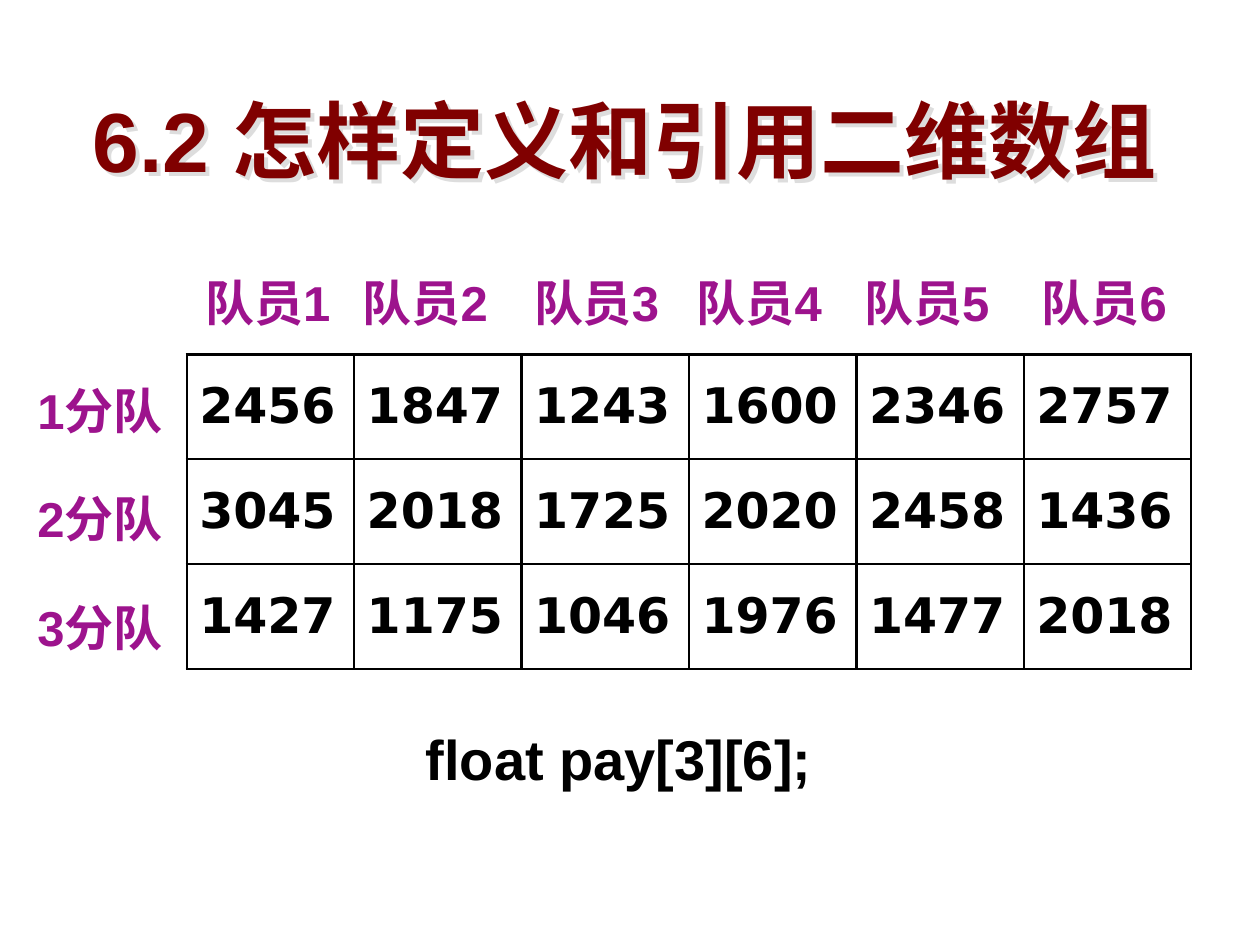
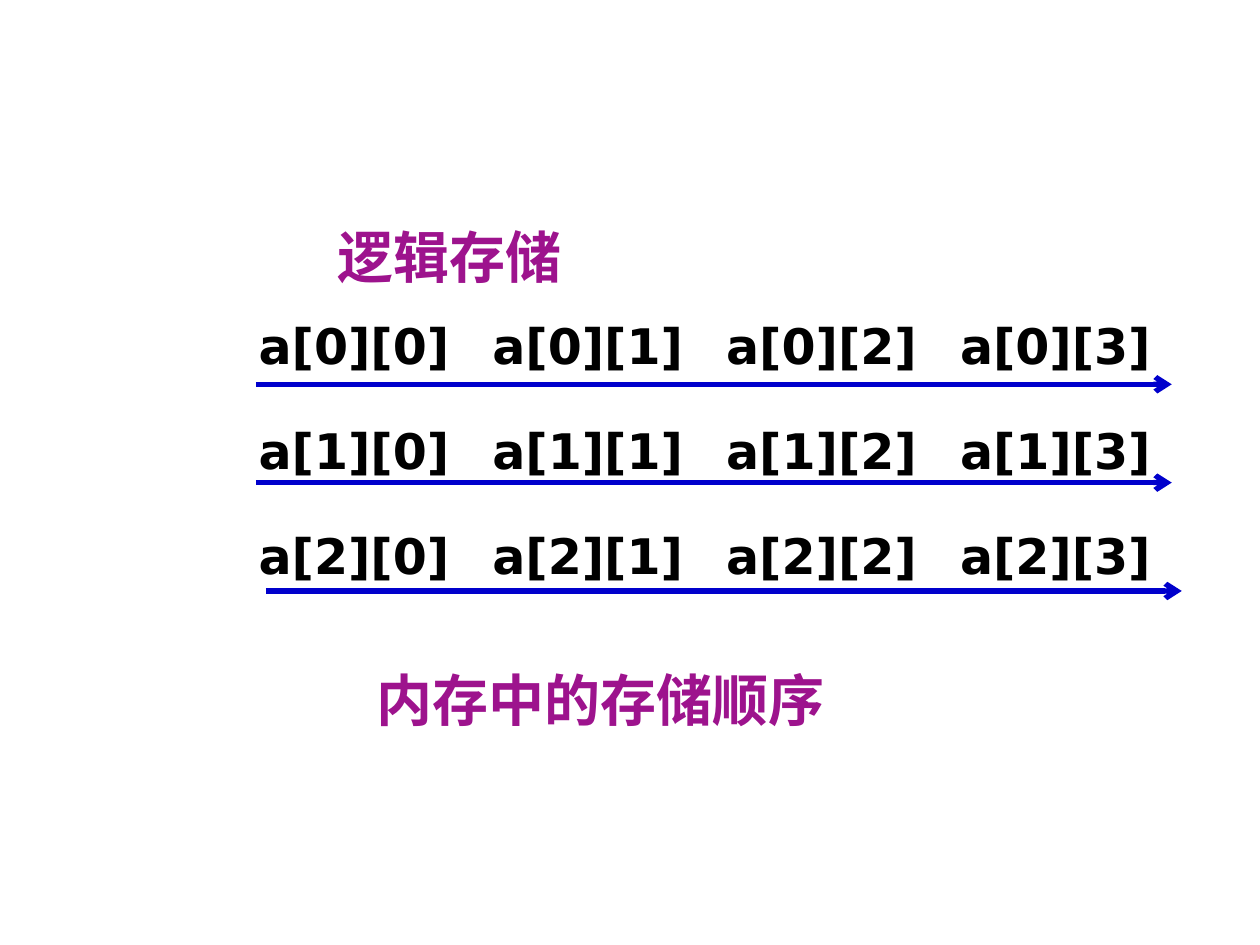
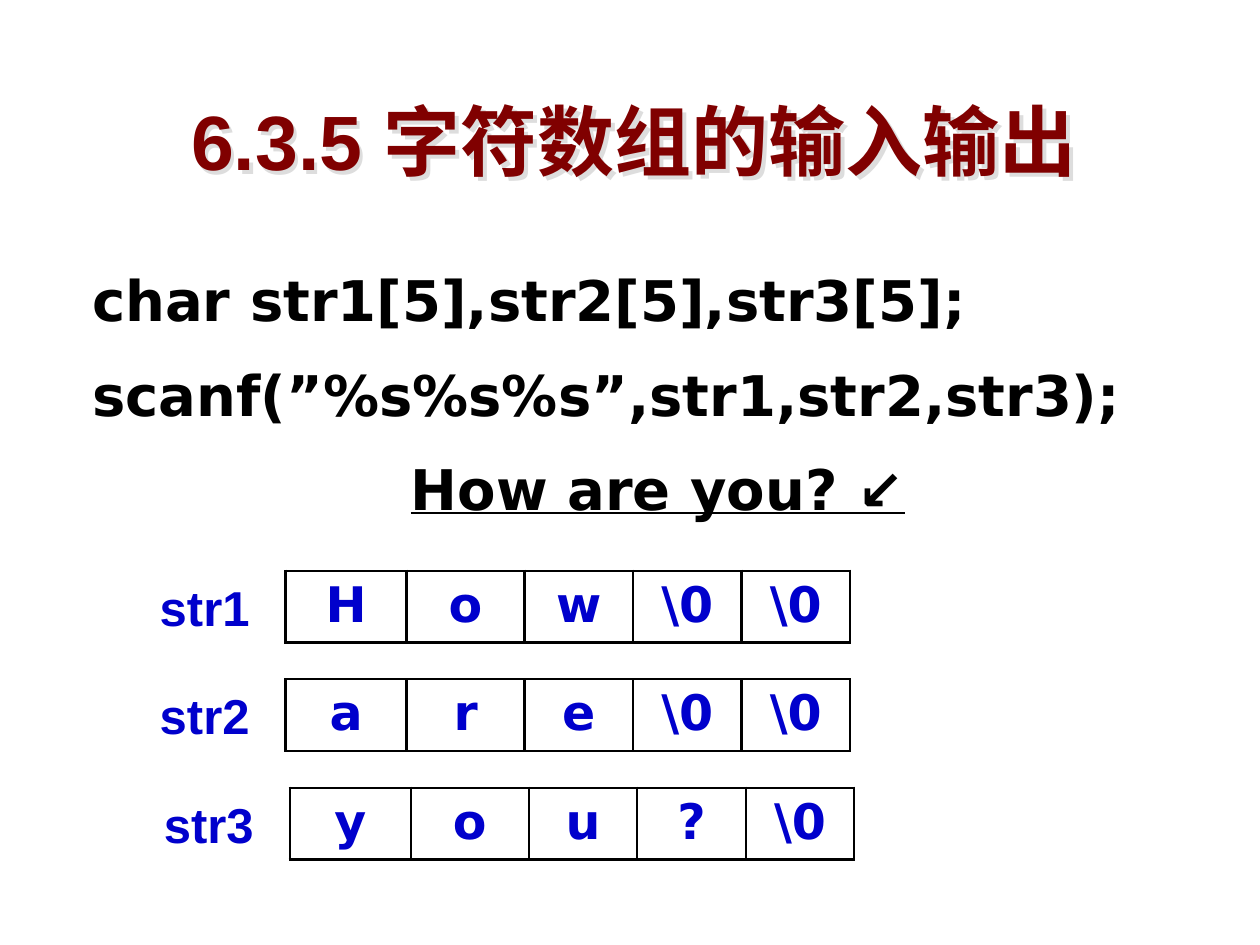
from dataclasses import dataclass

from lxml import etree
from pptx import Presentation
from pptx.dml.color import RGBColor
from pptx.enum import shapes, text
from pptx.oxml import ns
from pptx.util import Pt


@dataclass(frozen=True)
class Theme:
    title: str = "800000"
    shadow: str = "DDDDDD"
    label: str = "9D138D"
    accent: str = "0000CC"
    ink: str = "000000"
    paper: str = "FFFFFF"
    sans: str = "Arial"
    code: str = "DejaVu Sans"
    cell_size: float = 28
    text_size: float = 32
    border: float = 1.47
    arrow: float = 3
    shadow_distance: float = 2.8


T = Theme()
CENTER, LEFT = text.PP_ALIGN.CENTER, text.PP_ALIGN.LEFT
MIDDLE, TOP = text.MSO_ANCHOR.MIDDLE, text.MSO_ANCHOR.TOP

PAY_TITLE = ("6.2 怎样定义和引用二维数组", 48, (22.3, 46.8, 669.6, 65.5))
PAY = [
    ["2456", "1847", "1243", "1600", "2346", "2757"],
    ["3045", "2018", "1725", "2020", "2458", "1436"],
    ["1427", "1175", "1046", "1976", "1477", "2018"],
]
MEMBER_LEFTS = [110.2, 200.2, 298.1, 391, 486.7, 588.2]
PAY_DECLARATION = ("float pay[3][6];", (236.2, 410.4, 270, 46))

ELEMENTS = [[f"a[{i}][{j}]" for j in range(4)] for i in range(3)]
ARROWS = [(146.2, 219.6), (146.2, 275.8), (151.9, 337.7)]
ARROW_LENGTH = 523.4
STORAGE_HEADINGS = [
    ("逻辑存储", (185.8, 123.8, 264.2, 46)),
    ("内存中的存储顺序", (208.1, 376.6, 343.4, 46)),
]

INPUT_TITLE = ("6.3.5 字符数组的输入输出", 44, (22.3, 49.7, 680.4, 60.5))
INPUT_CODE = [
    ("char str1[5],str2[5],str3[5];", LEFT, False),
    ("scanf(”%s%s%s”,str1,str2,str3);", LEFT, False),
    ("How are you? ↙", CENTER, True),
]
STRINGS = [
    ("str1", ["H", "o", "w", r"\0", r"\0"], 84.2),
    ("str2", ["a", "r", "e", r"\0", r"\0"], 84.2),
    ("str3", ["y", "o", "u", "?", r"\0"], 86.6),
]
STRING_COLUMNS = [69.1, 67.5, 62, 62, 62]
ROW_PITCH = 62


def place(sp, box):
    sp.left, sp.top, sp.width, sp.height = (Pt(v) for v in box)


def add_run(p, words, size, color, font=T.sans):
    r = p.add_run()
    r.text = words
    r.font.size, r.font.bold = Pt(size), True
    r.font.color.rgb = RGBColor.from_string(color)
    r.font.name = font
    return r


def add_title(s, words, size, box):
    sp = s.shapes.title
    place(sp, box)
    sp.fill.background()
    effects = etree.SubElement(sp._element.spPr, ns.qn("a:effectLst"))
    shadow = etree.SubElement(effects, ns.qn("a:outerShdw"),
                              dist=str(Pt(T.shadow_distance)), dir="2700000", algn="tl")
    etree.SubElement(shadow, ns.qn("a:srgbClr"), val=T.shadow)
    tf = sp.text_frame
    tf.auto_size, tf.vertical_anchor = text.MSO_AUTO_SIZE.SHAPE_TO_FIT_TEXT, MIDDLE
    p = tf.paragraphs[0]
    p.alignment = CENTER
    add_run(p, words, size, T.title)


def add_label(s, words, box, color, size=T.cell_size):
    sp = s.shapes.add_textbox(*(Pt(v) for v in box))
    tf = sp.text_frame
    tf.word_wrap, tf.auto_size = True, text.MSO_AUTO_SIZE.SHAPE_TO_FIT_TEXT
    tf.margin_right = 0
    add_run(tf.paragraphs[0], words, size, color)


def set_borders(cell, visible):
    pr = cell._tc.get_or_add_tcPr()
    for i, side in enumerate(("lnL", "lnR", "lnT", "lnB")):
        ln = etree.Element(ns.qn(f"a:{side}"), w=str(Pt(T.border)))
        if visible:
            fill = etree.SubElement(ln, ns.qn("a:solidFill"))
            etree.SubElement(fill, ns.qn("a:srgbClr"), val=T.ink)
        else:
            etree.SubElement(ln, ns.qn("a:noFill"))
        pr.insert(i, ln)


def add_grid(s, rows, left, top, widths, height, color=T.ink, align=LEFT, anchor=MIDDLE, borders=True):
    frame = s.shapes.add_table(len(rows), len(widths), Pt(left), Pt(top),
                               Pt(sum(widths)), Pt(height * len(rows)))
    table = frame.table
    table.first_row = table.horz_banding = False
    for column, width in zip(table.columns, widths):
        column.width = Pt(width)
    for i, row in enumerate(rows):
        table.rows[i].height = Pt(height)
        for j, words in enumerate(row):
            cell = table.cell(i, j)
            cell.vertical_anchor = anchor
            cell.fill.solid()
            cell.fill.fore_color.rgb = RGBColor.from_string(T.paper)
            set_borders(cell, borders)
            p = cell.text_frame.paragraphs[0]
            p.alignment = align
            add_run(p, words, T.cell_size, color, T.code)


def add_arrow(s, left, y):
    line = s.shapes.add_connector(shapes.MSO_CONNECTOR.STRAIGHT, Pt(left), Pt(y),
                                  Pt(left + ARROW_LENGTH), Pt(y))
    line.line.color.rgb = RGBColor.from_string(T.accent)
    line.line.width = Pt(T.arrow)
    etree.SubElement(line.line._get_or_add_ln(), ns.qn("a:tailEnd"), type="arrow")
    etree.SubElement(line._element.spPr, ns.qn("a:effectLst"))


def add_code(s, lines, box):
    sp = s.placeholders[1]
    place(sp, box)
    tf = sp.text_frame
    tf.auto_size = text.MSO_AUTO_SIZE.NONE
    for i, (words, align, underline) in enumerate(lines):
        p = tf.add_paragraph() if i else tf.paragraphs[0]
        pr = p._p.get_or_add_pPr()
        pr.set("marL", str(Pt(27)))
        pr.set("indent", str(Pt(-27)))
        etree.SubElement(pr, ns.qn("a:buNone"))
        p.alignment, p.line_spacing = align, 1.2
        p.space_before = Pt(8 if i else 0)
        r = add_run(p, words, T.text_size, T.ink, T.code)
        if underline:
            r.font.underline = True


def build_pay(s):
    add_title(s, *PAY_TITLE)
    add_grid(s, PAY, 106.7, 202.5, [95.67] * 6, 60)
    for i in range(len(PAY)):
        add_label(s, f"{i + 1}分队", (14.2, 213.8 + ROW_PITCH * i, 92.2, 41), T.label)
    for i, left in enumerate(MEMBER_LEFTS):
        add_label(s, f"队员{i + 1}", (left, 151.9, 92.2, 41), T.label)
    words, box = PAY_DECLARATION
    add_label(s, words, box, T.ink, T.text_size)


def build_storage(s):
    add_grid(s, ELEMENTS, 140.6, 168.5, [133.6] * 4, 60, borders=False)
    for left, y in ARROWS:
        add_arrow(s, left, y)
    for words, box in STORAGE_HEADINGS:
        add_label(s, words, box, T.label, T.text_size)


def build_input(s):
    add_title(s, *INPUT_TITLE)
    add_code(s, INPUT_CODE, (45.4, 140.4, 661, 219.6))
    for i, (name, letters, left) in enumerate(STRINGS):
        top = 326.2 + ROW_PITCH * i
        add_grid(s, [letters], left + 79, top, STRING_COLUMNS, 41, T.accent, CENTER, TOP)
        add_label(s, name, (left, top, 73.4, 41), T.accent)


def main():
    prs = Presentation()
    prs.slide_width, prs.slide_height = Pt(720), Pt(540)
    for layout, build in ((5, build_pay), (6, build_storage), (1, build_input)):
        build(prs.slides.add_slide(prs.slide_layouts[layout]))
    prs.save("out.pptx")


if __name__ == "__main__":
    main()
